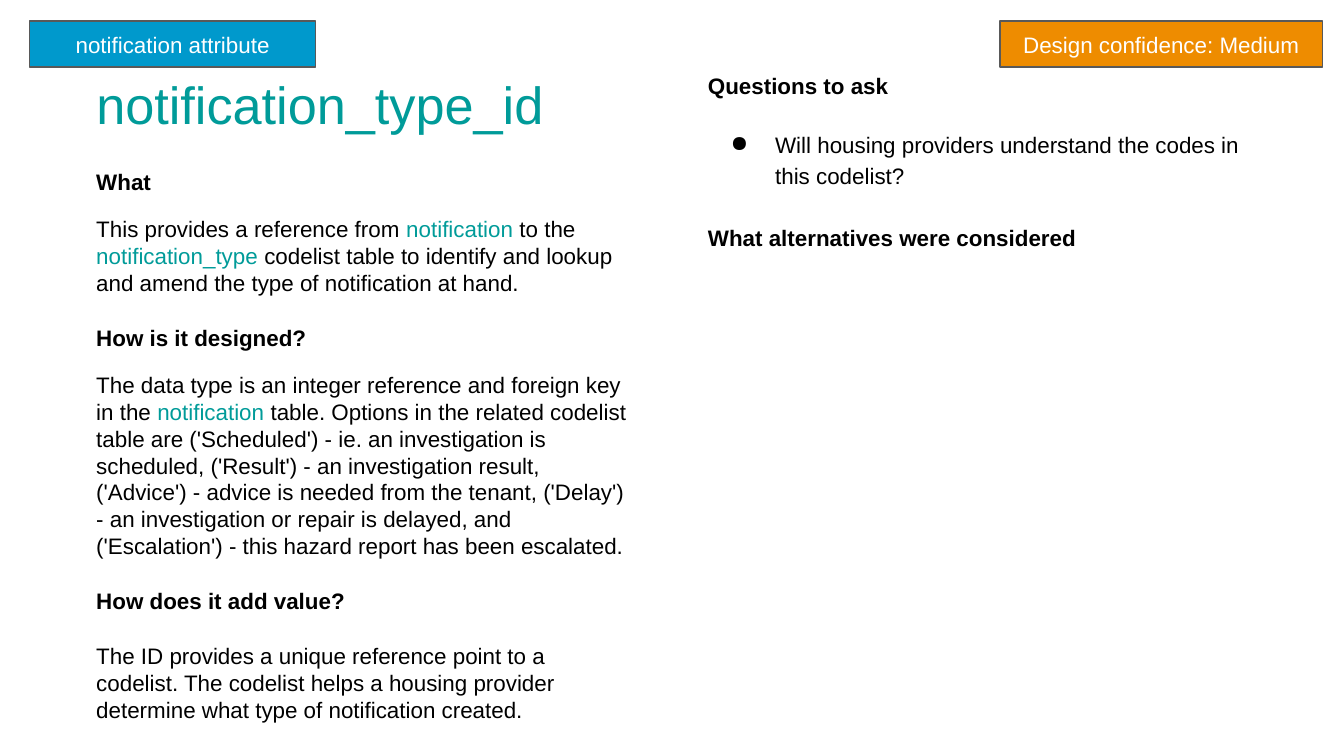
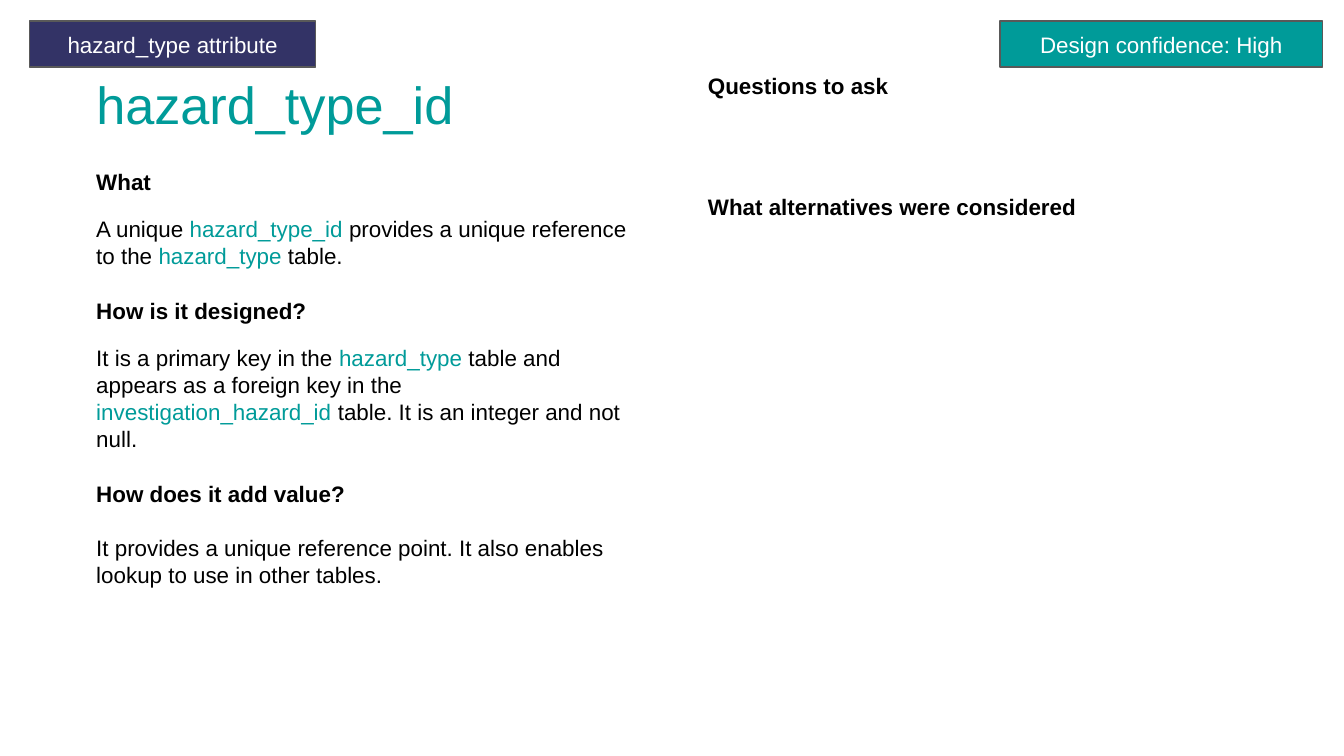
from dataclasses import dataclass

from lxml import etree
from pptx import Presentation
from pptx import util as u
from pptx.dml.color import RGBColor
from pptx.enum import shapes, text
from pptx.oxml import ns


@dataclass(frozen=True)
class Theme:
    font: str = "Arial"
    teal: str = "009B99"
    orange: str = "EE8C00"
    blue: str = "0099CC"
    navy: str = "333366"
    outline: str = "595959"
    black: str = "000000"
    white: str = "FFFFFF"
    title_size: float = 28
    body_size: float = 12
    inset: float = 0.25


THEME = Theme()
TITLE_ONLY = 5

# Left, top, width, height in centimetres
TITLE_AREA = (1.57, 1.12, 11.25, 1.6)
DETAILS_AREA = (1.57, 2.92, 10.64, 8.74)
QUESTIONS_AREA = (13.13, 1.12, 10.64, 8.46)
ATTRIBUTE_AREA = (0.56, 0.4, 5.41, 0.87)
CONFIDENCE_AREA = (18.9, 0.4, 6.1, 0.87)

SLIDES = [
    dict(
        title="notification_type_id",
        attribute=("notification attribute", THEME.blue),
        confidence=("Medium", THEME.orange),
        what="This provides a reference from `notification` to the `notification_type` codelist "
             "table to identify and lookup and amend the type of notification at hand.",
        design="The data type is an integer reference and foreign key in the `notification` table. "
               "Options in the related codelist table are ('Scheduled') - ie. an investigation is "
               "scheduled, ('Result') - an investigation result, ('Advice') - advice is needed from "
               "the tenant, ('Delay') - an investigation or repair is delayed, and ('Escalation') - "
               "this hazard report has been escalated.",
        value="The ID provides a unique reference point to a codelist. The codelist helps a housing "
              "provider determine what type of notification created.",
        questions=["Will housing providers understand the codes in this codelist?"],
    ),
    dict(
        title="hazard_type_id",
        attribute=("hazard_type attribute", THEME.navy),
        confidence=("High", THEME.teal),
        what="A unique `hazard_type_id` provides a unique reference to the `hazard_type` table.",
        design="It is a primary key in the `hazard_type` table and appears as a foreign key in the "
               "`investigation_hazard_id` table. It is an integer and not null.",
        value="It provides a unique reference point. It also enables lookup to use in other tables.",
        questions=[],
    ),
]


def cm(area):
    return [u.Cm(length) for length in area]


def prepare_frame(frame, anchor=text.MSO_ANCHOR.TOP):
    frame.word_wrap = True
    frame.auto_size = text.MSO_AUTO_SIZE.NONE
    frame.vertical_anchor = anchor
    frame.margin_left = frame.margin_right = u.Cm(THEME.inset)
    frame.margin_top = frame.margin_bottom = u.Cm(THEME.inset)


def add_bullet(para):
    properties = para._p.get_or_add_pPr()
    properties.set("marL", str(u.Cm(1.27)))
    properties.set("indent", str(u.Cm(-0.84)))
    colour = etree.SubElement(properties, ns.qn("a:buClr"))
    etree.SubElement(colour, ns.qn("a:srgbClr"), val=THEME.black)
    etree.SubElement(properties, ns.qn("a:buChar"), char="●")


def write(frame, content, size=THEME.body_size, colour=THEME.black, bold=False,
          align=text.PP_ALIGN.LEFT, before=0, spacing=1.0, bullet=False):
    """Add a paragraph; words between backticks take the highlight colour."""
    first = frame.paragraphs[0]
    para = first if not first.runs else frame.add_paragraph()
    if bullet:
        add_bullet(para)
    para.alignment = align
    para.space_before = u.Pt(before)
    para.line_spacing = spacing
    for index, piece in enumerate(content.split("`")):
        span = para.add_run()
        span.text = piece
        span.font.name = THEME.font
        span.font.size = u.Pt(size)
        span.font.bold = bold
        span.font.color.rgb = RGBColor.from_string(THEME.teal if index % 2 else colour)


def add_title(page, title):
    box = page.shapes.title
    box.left, box.top, box.width, box.height = cm(TITLE_AREA)
    prepare_frame(box.text_frame)
    write(box.text_frame, title, size=THEME.title_size, colour=THEME.teal)


def add_text_box(page, area):
    frame = page.shapes.add_textbox(*cm(area)).text_frame
    prepare_frame(frame)
    return frame


def add_details(page, what, design, value):
    frame = add_text_box(page, DETAILS_AREA)
    sections = [("What", what, 0, 11),
                ("How is it designed?", design, 15, 11),
                ("How does it add value?", value, 15, 15)]
    for heading, content, above_heading, above_content in sections:
        write(frame, heading, bold=True, before=above_heading)
        write(frame, content, before=above_content)


def add_questions(page, questions):
    frame = add_text_box(page, QUESTIONS_AREA)
    write(frame, "Questions to ask", bold=True)
    for question in questions:
        write(frame, question, before=15, spacing=1.15, bullet=True)
    write(frame, "What alternatives were considered", bold=True,
          before=16.5 if questions else 48, spacing=1.15)


def add_tag(page, area, label, fill):
    box = page.shapes.add_shape(shapes.MSO_SHAPE.RECTANGLE, *cm(area))
    box.shadow.inherit = False
    box.fill.solid()
    box.fill.fore_color.rgb = RGBColor.from_string(fill)
    box.line.color.rgb = RGBColor.from_string(THEME.outline)
    box.line.width = u.Pt(0.75)
    prepare_frame(box.text_frame, text.MSO_ANCHOR.MIDDLE)
    write(box.text_frame, label, colour=THEME.white, align=text.PP_ALIGN.CENTER)


def main():
    deck = Presentation()
    deck.slide_width, deck.slide_height = u.Cm(25.4), u.Cm(14.29)
    for entry in SLIDES:
        page = deck.slides.add_slide(deck.slide_layouts[TITLE_ONLY])
        add_title(page, entry["title"])
        # Left and right columns
        add_details(page, entry["what"], entry["design"], entry["value"])
        add_questions(page, entry["questions"])
        # Tags along the top edge
        level, level_colour = entry["confidence"]
        add_tag(page, CONFIDENCE_AREA, f"Design confidence: {level}", level_colour)
        add_tag(page, ATTRIBUTE_AREA, *entry["attribute"])
    deck.save("out.pptx")


if __name__ == "__main__":
    main()
